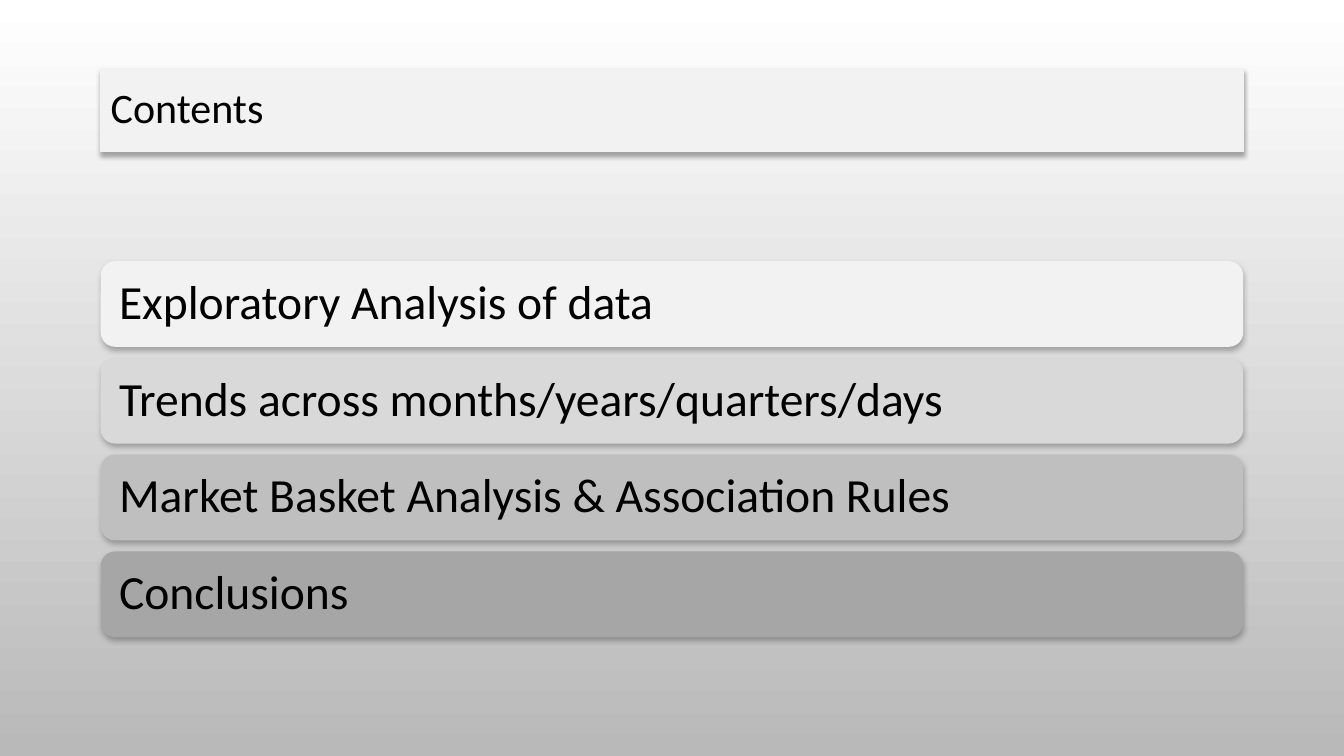
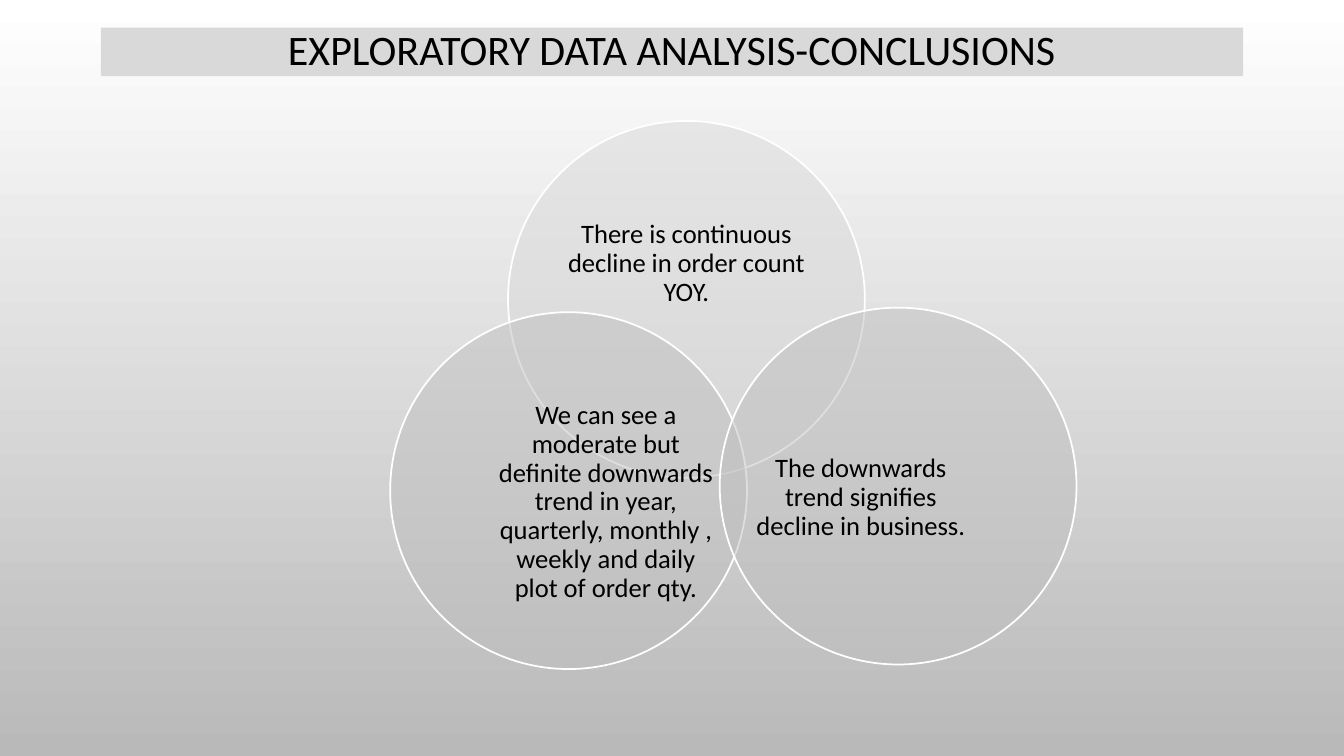
"""Build a contents slide and a slide of three overlapping conclusions."""
from lxml.etree import SubElement
from pptx import Presentation
from pptx.dml.color import RGBColor
from pptx.enum.shapes import MSO_SHAPE as Shape
from pptx.enum.text import MSO_ANCHOR as Anchor, PP_ALIGN as Align
from pptx.oxml.ns import qn
from pptx.util import Inches, Pt

BLACK, WHITE, SHADE = "000000", "FFFFFF", "B9B9B9"
PALE, LIGHT, MEDIUM, DARK = "F2F2F2", "D9D9D9", "BFBFBF", "A6A6A6"
MARGIN, BAND_WIDTH = 7.5, 85
TITLE_SIZE, ITEM_SIZE, FINDING_SIZE = 30, 34, 19
TITLE_INSETS = {"margin_left": 0.1, "margin_right": 0.1, "margin_top": 0.05, "margin_bottom": 0.05}
ITEM_INSETS = dict.fromkeys(TITLE_INSETS, 0.14)
NO_INSETS = dict.fromkeys(TITLE_INSETS, 0)

deck = Presentation()
deck.slide_width, deck.slide_height = Inches(13.333), Inches(7.5)


def color(hex_string):
    """Turn a hex string into a colour."""
    return RGBColor.from_string(hex_string)


def add_panel(slide, kind, share, fill=None, line=None, opacity=None, shadow=None,
              text="", size=FINDING_SIZE, align=Align.LEFT, insets=NO_INSETS):
    """Add a shape placed by percentages of the slide, with optional text."""
    sides = (deck.slide_width, deck.slide_height) * 2
    panel = slide.shapes.add_shape(kind, *(round(side * part / 100) for side, part in zip(sides, share)))
    panel.shadow.inherit = False
    if fill:
        panel.fill.solid()
        panel.fill.fore_color.rgb = color(fill)
    else:
        panel.fill.background()
    if line:
        panel.line.color.rgb, panel.line.width = color(line[0]), Pt(line[1])
    else:
        panel.line.fill.background()
    properties = panel._element.spPr
    if opacity:
        tone = properties.find(qn("a:solidFill")).find(qn("a:srgbClr"))
        SubElement(tone, qn("a:alpha"), val=str(opacity * 1000))
    if shadow:
        strength, blur, distance = shadow
        outer = SubElement(properties.find(qn("a:effectLst")), qn("a:outerShdw"), blurRad=str(Pt(blur)),
                           dist=str(Pt(distance)), dir="5400000", algn="ctr", rotWithShape="0")
        tone = SubElement(outer, qn("a:srgbClr"), val=BLACK)
        SubElement(tone, qn("a:alpha"), val=str(strength * 1000))
    if text:
        frame = panel.text_frame
        frame.word_wrap, frame.vertical_anchor = True, Anchor.MIDDLE
        for side, inset in insets.items():
            setattr(frame, side, Inches(inset))
        paragraph = frame.paragraphs[0]
        paragraph.text, paragraph.alignment, paragraph.line_spacing = text, align, 0.9
        for key, value in {"name": "Calibri", "size": Pt(size), "bold": False}.items():
            setattr(paragraph.font, key, value)
        paragraph.font.color.rgb = color(BLACK)


contents, conclusions = (deck.slides.add_slide(deck.slide_layouts[6]) for _ in range(2))
for slide in (contents, conclusions):
    backdrop = slide.background.fill
    backdrop.gradient()
    backdrop.gradient_angle = 270
    for stop, tone in zip(backdrop.gradient_stops, (WHITE, SHADE)):
        stop.color.rgb = color(tone)

add_panel(contents, Shape.RECTANGLE, (MARGIN, 9, BAND_WIDTH, 11.05), PALE, line=(PALE, 0.75),
          shadow=(32, 3.5, 2.2), text="Contents", size=TITLE_SIZE, insets=TITLE_INSETS)

agenda = [
    ("Exploratory Analysis of data", PALE),
    ("Trends across months/years/quarters/days", LIGHT),
    ("Market Basket Analysis & Association Rules", MEDIUM),
    ("Conclusions", DARK),
]
first_row, row_pitch, row_height = 34.55, 12.8, 11.33
for row, (item, tone) in enumerate(agenda):
    add_panel(contents, Shape.ROUNDED_RECTANGLE, (MARGIN, first_row + row * row_pitch, BAND_WIDTH, row_height),
              tone, shadow=(28, 4, 2), text=item, size=ITEM_SIZE, insets=ITEM_INSETS)

circle_size = (26.55, 47.2)
side_text_size = (16.1, 26)
findings = [
    ("There is continuous decline in order count YOY.", LIGHT, (37.8, 16), (41.32, 24.3, 19.5, 21.2)),
    ("We can see a moderate but definite downwards trend in year, quarterly, monthly , "
     "weekly and daily plot of order qty.", MEDIUM, (29.03, 41.3), (37.03, 53.45) + side_text_size),
    ("The downwards trend signifies decline in business.", MEDIUM, (53.55, 40.7), (56, 52.87) + side_text_size),
]
for finding, tone, corner, text_area in findings:
    add_panel(conclusions, Shape.OVAL, corner + circle_size, tone, line=(WHITE, 1.25), opacity=50)
    add_panel(conclusions, Shape.RECTANGLE, text_area, text=finding, align=Align.CENTER)

add_panel(conclusions, Shape.RECTANGLE, (MARGIN, 3.67, BAND_WIDTH, 6.4), LIGHT, size=TITLE_SIZE,
          text="EXPLORATORY DATA ANALYSIS-CONCLUSIONS", align=Align.CENTER, insets=TITLE_INSETS)

deck.save("out.pptx")
